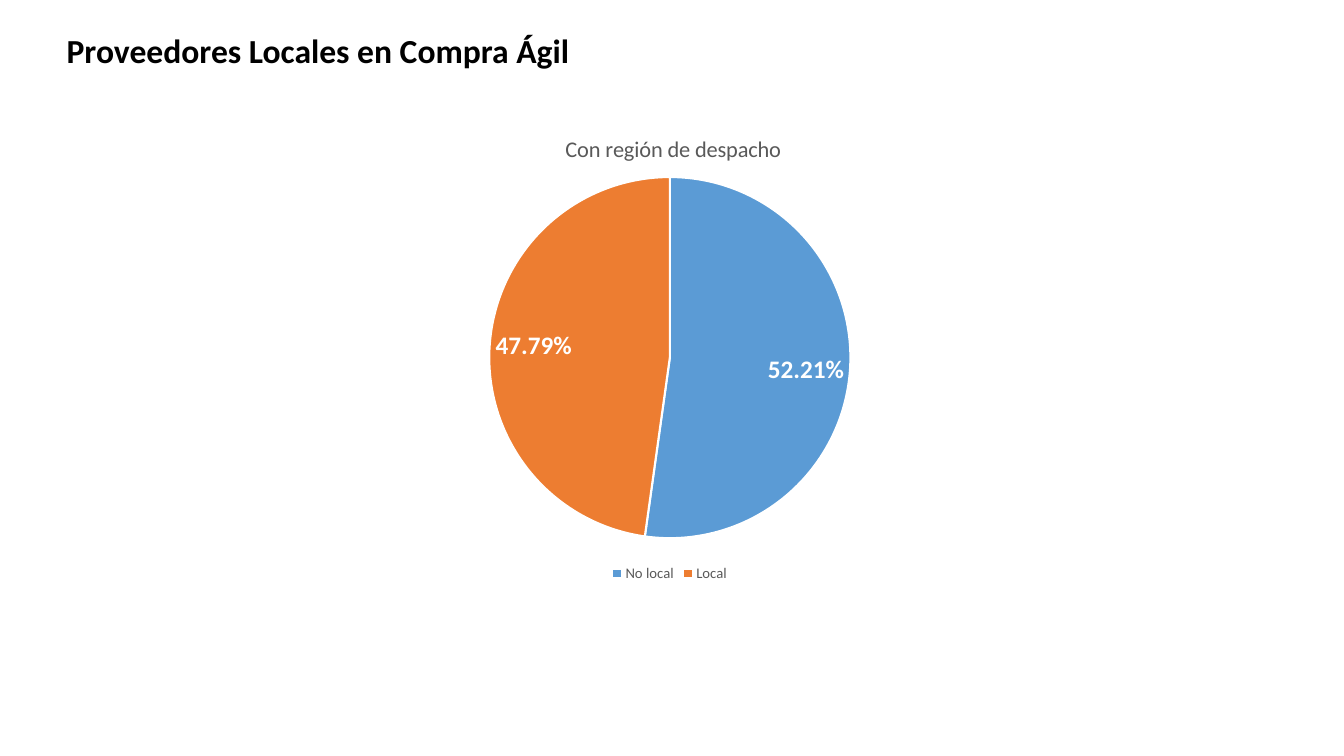
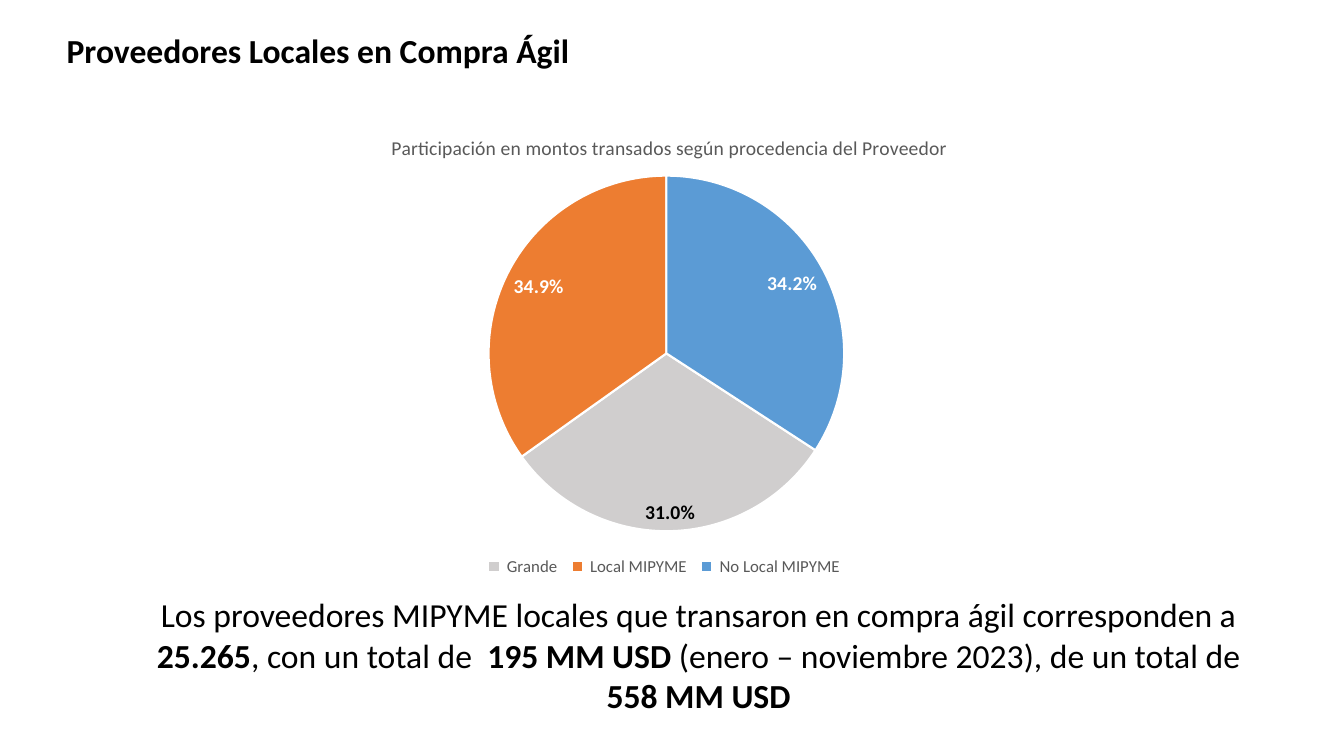
from dataclasses import dataclass
from typing import Optional

from lxml import etree
from pptx import Presentation
from pptx import util as u
from pptx.chart import data as chart_data
from pptx.dml.color import RGBColor
from pptx.enum import chart as ch, text
from pptx.oxml import ns

FONT = "Calibri"
BLACK = RGBColor(0x00, 0x00, 0x00)
WHITE = RGBColor(0xFF, 0xFF, 0xFF)
GRAY = RGBColor(0x59, 0x59, 0x59)
SILVER = RGBColor(0xD0, 0xCE, 0xCE)
BLUE = RGBColor(0x5B, 0x9B, 0xD5)
ORANGE = RGBColor(0xED, 0x7D, 0x31)

HEADING = "Proveedores Locales en Compra Ágil"


@dataclass(frozen=True)
class Box:
    left: float
    top: float
    width: float
    height: float


@dataclass(frozen=True)
class Slice:
    name: str
    value: float
    fill: RGBColor
    label_color: RGBColor = WHITE


@dataclass(frozen=True)
class Phrase:
    words: str
    bold: bool = False


@dataclass(frozen=True)
class Pie:
    caption: str
    caption_size: float
    caption_at: tuple[float, float]
    frame: Box
    circle: Box
    slices: tuple[Slice, ...]
    percent_format: str
    label_size: float
    legend_size: float
    start_angle: int = 0


@dataclass(frozen=True)
class Page:
    pie: Pie
    summary: tuple[Phrase, ...] = ()


PAGES = (
    Page(Pie("Con región de despacho", 16, (401, 92.5),
             Box(141, 77, 675, 342), Box(349.5, 126.5, 258, 258),
             (Slice("No local", 52.21, BLUE), Slice("Local", 47.79, ORANGE)),
             "0.00%", 18, 10.5)),
    Page(Pie("Participación en montos transados según procedencia del Proveedor",
             14, (277, 93.5),
             Box(132, 79, 688, 336), Box(349, 125.5, 254, 254),
             (Slice(" Grande ", 31, SILVER, BLACK),
              Slice(" Local MIPYME ", 34.9, ORANGE),
              Slice(" No Local MIPYME ", 34.2, BLUE)),
             "0.0%", 14, 12, 123),
         (Phrase("Los proveedores MIPYME locales que transaron en compra ágil corresponden a "),
          Phrase("25.265", True),
          Phrase(", con un total de "),
          Phrase(" 195 MM USD", True),
          Phrase(" (enero – noviembre 2023), de un total de"),
          Phrase(" 558 MM USD", True))),
)


def style(font, size: float, color: RGBColor, bold: bool = False) -> None:
    font.name, font.size, font.bold = FONT, u.Pt(size), bold
    font.color.rgb = color


def add_text(slide, box: Box, phrases: tuple[Phrase, ...], align, anchor,
             spacing: Optional[float] = None) -> None:
    area = slide.shapes.add_textbox(
        u.Pt(box.left), u.Pt(box.top), u.Pt(box.width), u.Pt(box.height))
    frame = area.text_frame
    frame.word_wrap = True
    frame.vertical_anchor = anchor
    paragraph = frame.paragraphs[0]
    paragraph.alignment = align
    paragraph.line_spacing = spacing
    for phrase in phrases:
        run = paragraph.add_run()
        run.text = phrase.words
        style(run.font, 24, BLACK, phrase.bold)


def place(element, index: int, **settings) -> None:
    for old in element.findall(ns.qn("c:layout")):
        element.remove(old)
    layout = etree.Element(ns.qn("c:layout"))
    manual = etree.SubElement(layout, ns.qn("c:manualLayout"))
    for tag, value in settings.items():
        etree.SubElement(manual, ns.qn(f"c:{tag}")).set("val", str(value))
    element.insert(index, layout)


def color_label(point, labels_xml, index: int, piece: Slice, pie: Pie) -> None:
    label = point.data_label
    style(label.font, pie.label_size, piece.label_color, True)
    label.position = ch.XL_LABEL_POSITION.INSIDE_END
    for entry in labels_xml.findall(ns.qn("c:dLbl")):
        if entry.find(ns.qn("c:idx")).get("val") == str(index):
            entry.find(ns.qn("c:showVal")).set("val", "0")
            entry.find(ns.qn("c:showPercent")).set("val", "1")
            number = etree.Element(ns.qn("c:numFmt"))
            number.set("formatCode", pie.percent_format)
            number.set("sourceLinked", "0")
            entry.insert(1, number)


def add_pie(slide, pie: Pie) -> None:
    shares = chart_data.CategoryChartData()
    shares.categories = [piece.name for piece in pie.slices]
    shares.add_series("Series 1", [piece.value for piece in pie.slices])
    frame, circle = pie.frame, pie.circle
    chart = slide.shapes.add_chart(
        ch.XL_CHART_TYPE.PIE, u.Pt(frame.left), u.Pt(frame.top),
        u.Pt(frame.width), u.Pt(frame.height), shares).chart
    style(chart.font, 10, BLACK)

    chart.has_title = True
    caption = chart.chart_title.text_frame.paragraphs[0]
    caption.text = pie.caption
    style(caption.runs[0].font, pie.caption_size, GRAY)

    chart.has_legend = True
    chart.legend.position = ch.XL_LEGEND_POSITION.BOTTOM
    chart.legend.include_in_layout = False
    style(chart.legend.font, pie.legend_size, GRAY)

    plot = chart.plots[0]
    plot.vary_by_categories = True
    series = plot.series[0]
    labels = series.data_labels
    labels.show_percentage = True
    labels.show_value = False
    labels.number_format = pie.percent_format
    labels.number_format_is_linked = False
    labels.position = ch.XL_LABEL_POSITION.INSIDE_END
    style(labels.font, pie.label_size, WHITE, True)

    root = chart._chartSpace
    labels_xml = next(root.iter(ns.qn("c:dLbls")))
    for index, piece in enumerate(pie.slices):
        point = series.points[index]
        point.format.fill.solid()
        point.format.fill.fore_color.rgb = piece.fill
        point.format.line.color.rgb = WHITE
        point.format.line.width = u.Pt(1.5)
        if piece.label_color != WHITE:
            color_label(point, labels_xml, index, piece, pie)

    pie_xml = next(root.iter(ns.qn("c:pieChart")))
    for old in pie_xml.findall(ns.qn("c:firstSliceAng")):
        pie_xml.remove(old)
    etree.SubElement(pie_xml, ns.qn("c:firstSliceAng")).set("val", str(pie.start_angle))

    caption_left, caption_top = pie.caption_at
    place(next(root.iter(ns.qn("c:title"))), 1, xMode="edge", yMode="edge",
          x=(caption_left - frame.left) / frame.width,
          y=(caption_top - frame.top) / frame.height)
    place(next(root.iter(ns.qn("c:plotArea"))), 0, layoutTarget="inner",
          xMode="edge", yMode="edge",
          x=(circle.left - frame.left) / frame.width,
          y=(circle.top - frame.top) / frame.height,
          w=circle.width / frame.width, h=circle.height / frame.height)


def main() -> None:
    deck = Presentation()
    deck.slide_width, deck.slide_height = u.Pt(960), u.Pt(540)
    for page in PAGES:
        slide = deck.slides.add_slide(deck.slide_layouts[6])
        add_text(slide, Box(40.5, 12, 558, 50.5), (Phrase(HEADING, True),),
                 text.PP_ALIGN.LEFT, text.MSO_ANCHOR.MIDDLE, 0.9)
        if page.summary:
            add_text(slide, Box(94.5, 421, 809, 94.5), page.summary,
                     text.PP_ALIGN.CENTER, text.MSO_ANCHOR.TOP)
        add_pie(slide, page.pie)
    deck.save("out.pptx")


if __name__ == "__main__":
    main()
